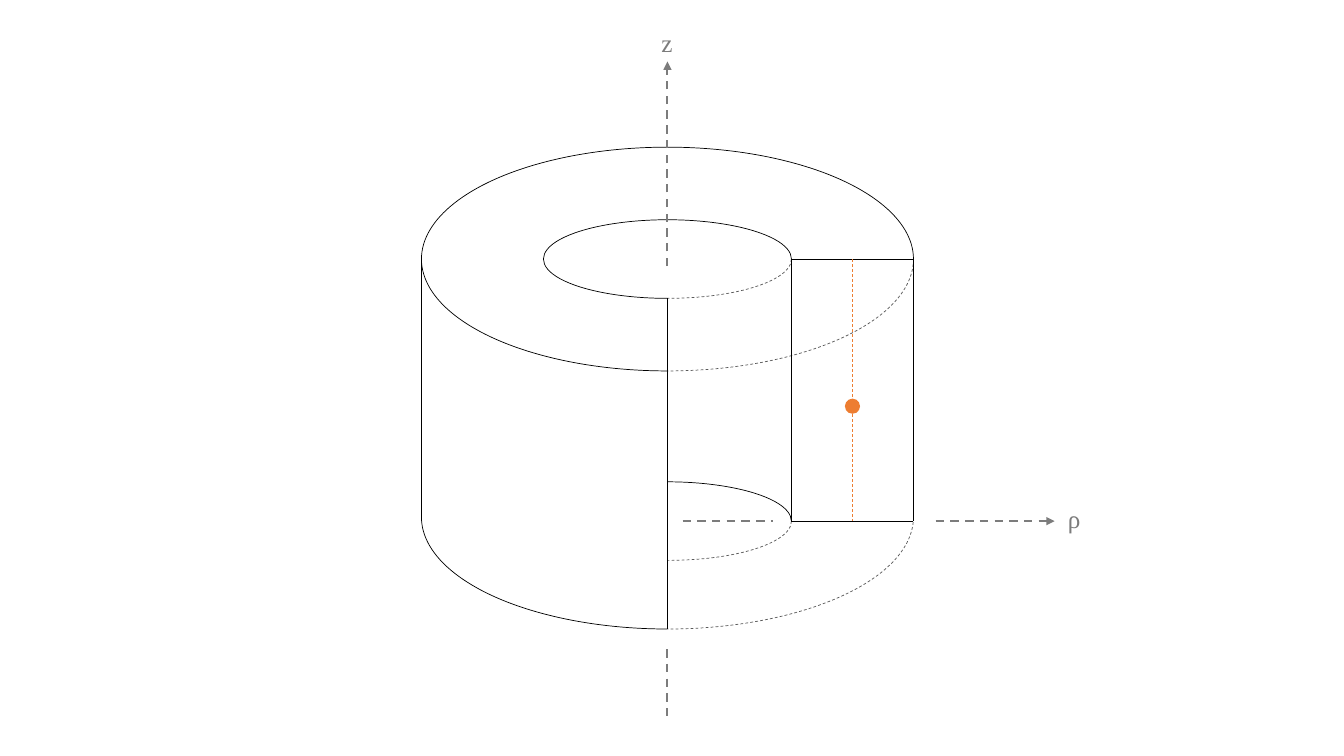
import pptx
import pptx.util
import pptx.dml.color
import pptx.enum.dml
import pptx.enum.shapes
import pptx.enum.text
import pptx.oxml
import pptx.oxml.ns

COLORS = {"edge": "000000", "hidden": "595959", "axis": "7C7C7C", "orbit": "ED7D31"}
STYLES = {
    "edge": (0.5, False),
    "hidden": (0.5, True),
    "axis": (1.5, True),
    "orbit": (0.5, True),
}
FONT = "Times New Roman"

CENTER = 6.62
OUTER, INNER = 2.44, 1.23
OUTER_DEPTH, INNER_DEPTH = 1.11, 0.39
TOP, BOTTOM, OUTER_BOTTOM = 2.57, 5.17, 5.13
LEFT, RIGHT, HOLE = CENTER - OUTER, CENTER + OUTER, CENTER + INNER
MIDDLE = (HOLE + RIGHT) / 2
HOLE_FRONT, RIM_FRONT = TOP + INNER_DEPTH, TOP + OUTER_DEPTH
BASE_FRONT = OUTER_BOTTOM + OUTER_DEPTH
DOT = 0.15
DOT_CENTER = 4.03
LABEL_WIDTH, LABEL_HEIGHT = 0.39, 0.4

ARCS = [
    (OUTER, OUTER_DEPTH, OUTER_BOTTOM, 90, 180, "edge"),
    (OUTER, OUTER_DEPTH, TOP, 90, 0, "edge"),
    (INNER, INNER_DEPTH, TOP, 90, 0, "edge"),
    (INNER, INNER_DEPTH, BOTTOM, 270, 0, "edge"),
    (INNER, INNER_DEPTH, TOP, 0, 90, "hidden"),
    (INNER, INNER_DEPTH, BOTTOM, 0, 90, "hidden"),
    (OUTER, OUTER_DEPTH, TOP, 0, 90, "hidden"),
    (OUTER, OUTER_DEPTH, OUTER_BOTTOM, 0, 90, "hidden"),
]
LINES = [
    (HOLE, TOP, RIGHT, TOP, "edge", False),
    (CENTER, HOLE_FRONT, CENTER, RIM_FRONT, "edge", False),
    (CENTER, RIM_FRONT, CENTER, BASE_FRONT, "edge", False),
    (HOLE, BOTTOM, HOLE, TOP, "edge", False),
    (RIGHT, TOP, RIGHT, BOTTOM, "edge", False),
    (LEFT, OUTER_BOTTOM, LEFT, TOP, "edge", False),
    (HOLE, BOTTOM, RIGHT, BOTTOM, "edge", False),
    (CENTER, 2.64, CENTER, 0.61, "axis", True),
    (CENTER, 6.44, CENTER, 7.1, "axis", False),
    (6.77, BOTTOM, 7.67, BOTTOM, "axis", False),
    (9.28, BOTTOM, 10.46, BOTTOM, "axis", True),
    (MIDDLE, TOP, MIDDLE, BOTTOM, "orbit", False),
]
LABELS = [("ρ", 10.46, 4.94), ("z", 6.42, 0.22)]


def color(name):
    return pptx.dml.color.RGBColor.from_string(COLORS[name])


def inches(*lengths):
    return [pptx.util.Inches(length) for length in lengths]


def style_line(line, style):
    width, dashed = STYLES[style]
    line.color.rgb = color(style)
    line.width = pptx.util.Pt(width)
    if dashed:
        line.dash_style = pptx.enum.dml.MSO_LINE.DASH


def add_arc(group, radius, depth, level, start, end, style):
    arc = group.shapes.add_shape(
        pptx.enum.shapes.MSO_SHAPE.ARC,
        *inches(CENTER - radius, level - depth, 2 * radius, 2 * depth),
    )
    arc.adjustments[0] = start * 0.6
    arc.adjustments[1] = end * 0.6
    arc.shadow.inherit = False
    arc.fill.background()
    style_line(arc.line, style)


def add_line(group, x1, y1, x2, y2, style, arrow):
    connector = group.shapes.add_connector(
        pptx.enum.shapes.MSO_CONNECTOR.STRAIGHT, *inches(x1, y1, x2, y2)
    )
    style_line(connector.line, style)
    properties = connector._element.spPr
    if arrow:
        head = pptx.oxml.parse_xml(
            f'<a:tailEnd {pptx.oxml.ns.nsdecls("a")} type="triangle"/>'
        )
        properties.find(pptx.oxml.ns.qn("a:ln")).append(head)
    properties.append(
        pptx.oxml.parse_xml(f'<a:effectLst {pptx.oxml.ns.nsdecls("a")}/>')
    )


def add_dot(group):
    dot = group.shapes.add_shape(
        pptx.enum.shapes.MSO_SHAPE.OVAL,
        *inches(MIDDLE - DOT / 2, DOT_CENTER - DOT / 2, DOT, DOT),
    )
    dot.shadow.inherit = False
    dot.fill.solid()
    dot.fill.fore_color.rgb = color("orbit")
    dot.line.fill.background()


def add_label(slide, text, left, top):
    box = slide.shapes.add_textbox(*inches(left, top, LABEL_WIDTH, LABEL_HEIGHT))
    frame = box.text_frame
    frame.text = text
    frame.word_wrap = True
    frame.auto_size = pptx.enum.text.MSO_AUTO_SIZE.SHAPE_TO_FIT_TEXT
    paragraph = frame.paragraphs[0]
    paragraph.alignment = pptx.enum.text.PP_ALIGN.CENTER
    font = paragraph.runs[0].font
    font.name = FONT
    font.size = pptx.util.Pt(18)
    font.color.rgb = color("axis")


def main():
    presentation = pptx.Presentation()
    presentation.slide_width, presentation.slide_height = inches(13.33, 7.5)
    slide = presentation.slides.add_slide(presentation.slide_layouts[6])
    group = slide.shapes.add_group_shape()
    for arc in ARCS:
        add_arc(group, *arc)
    for line in LINES:
        add_line(group, *line)
    add_dot(group)
    for label in LABELS:
        add_label(slide, *label)
    presentation.save("out.pptx")


if __name__ == "__main__":
    main()
